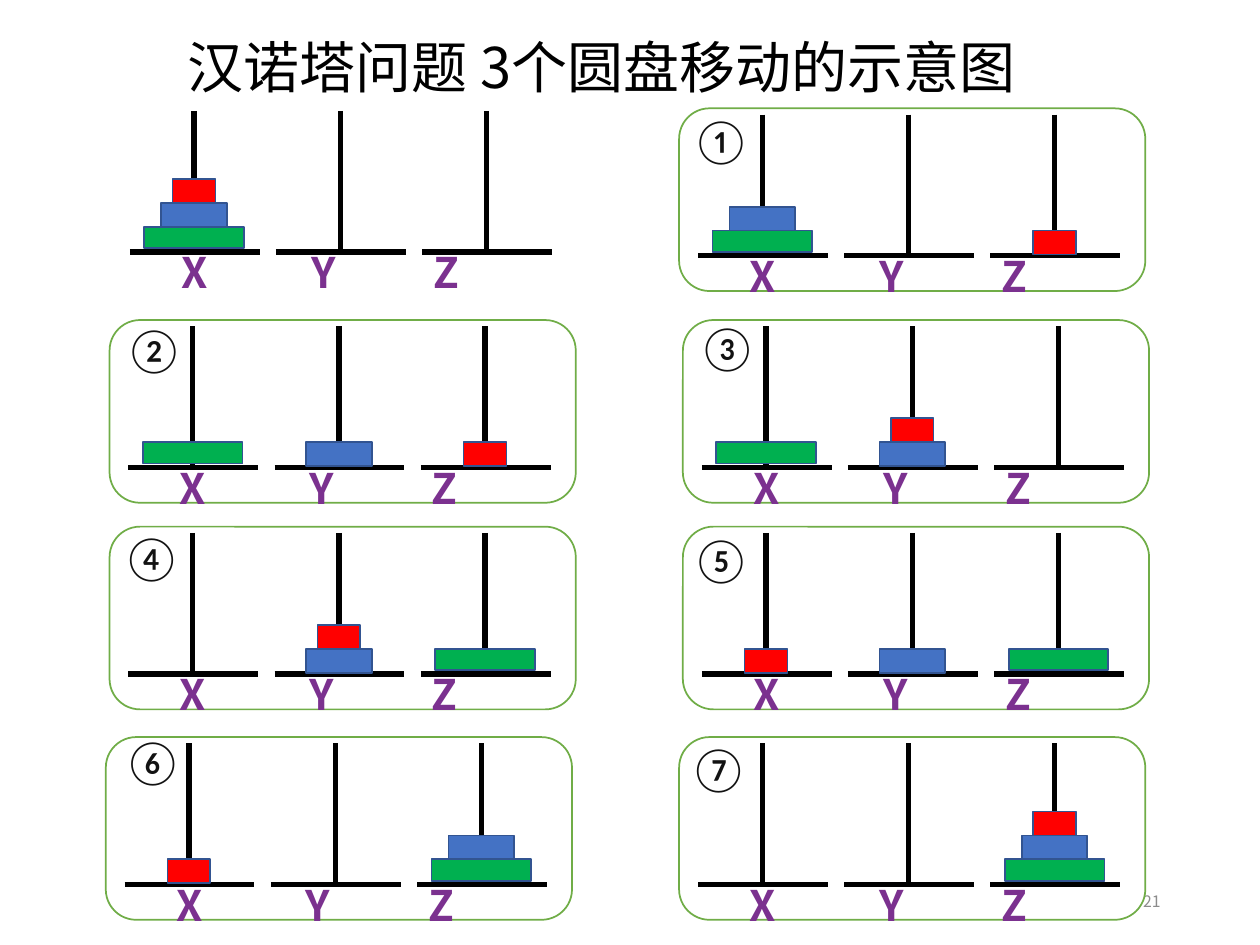
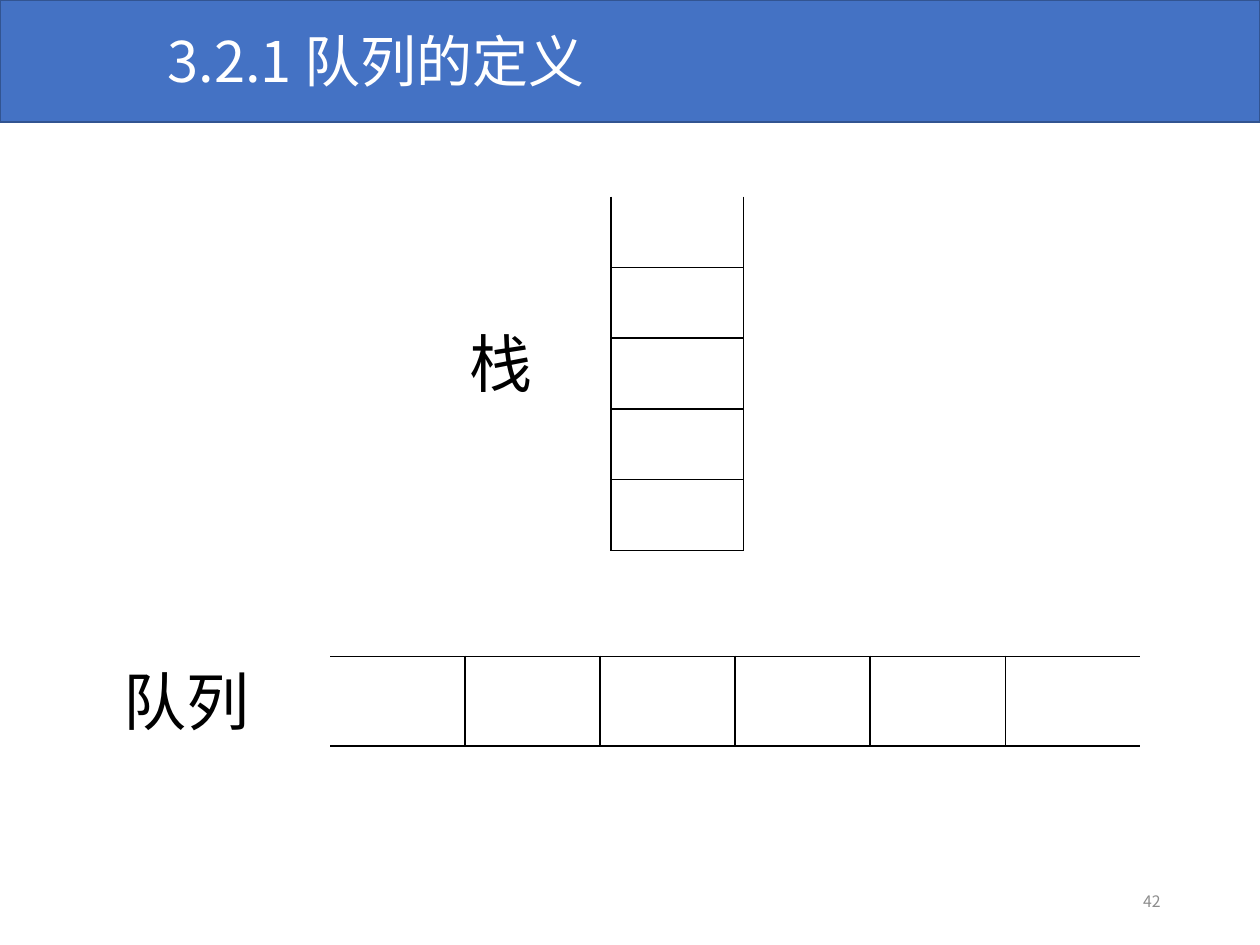
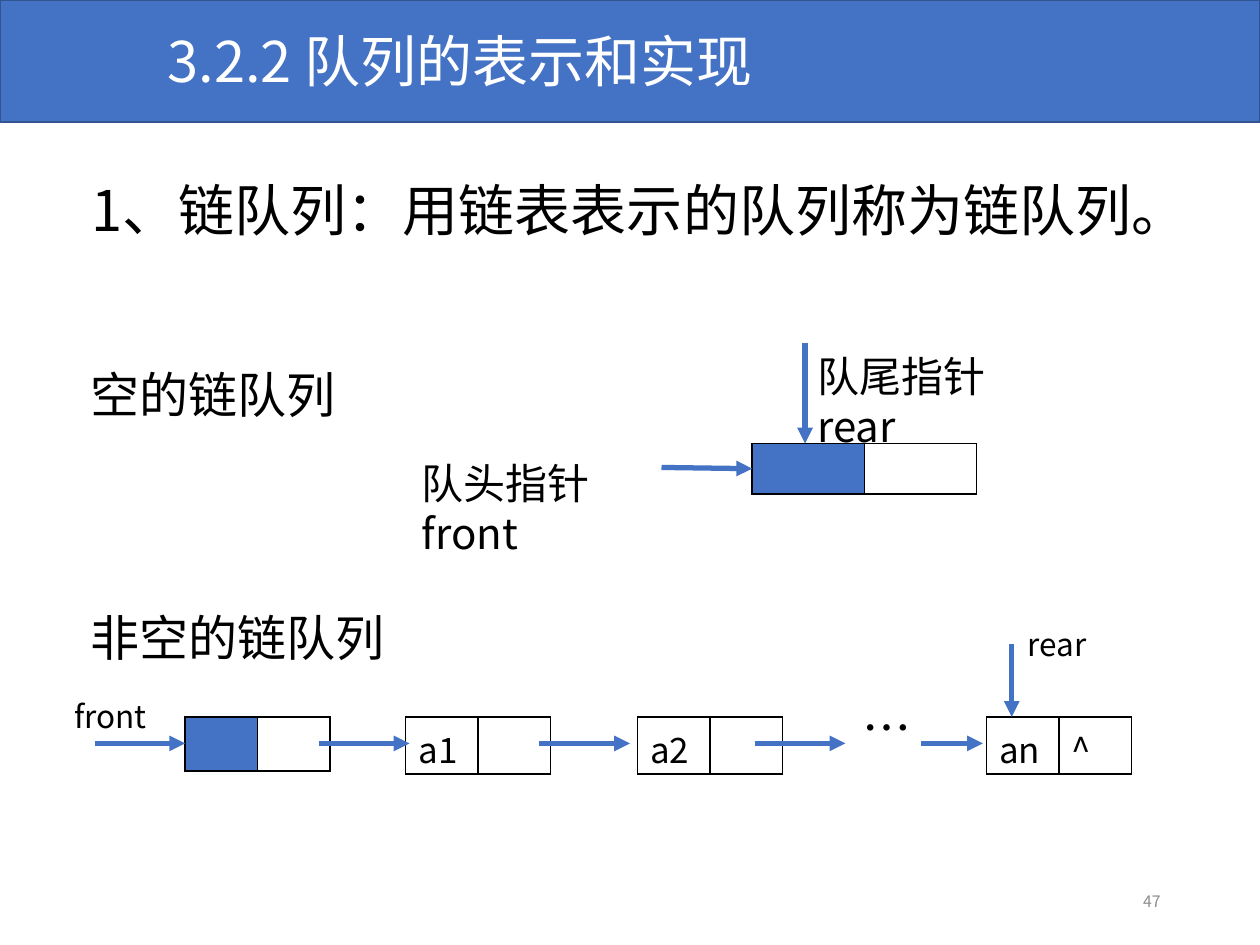
from lxml import etree
from pptx import Presentation
from pptx import util as u
from pptx.dml.color import RGBColor
from pptx.enum import shapes, text
from pptx.oxml import ns

FONT = "Noto Sans CJK SC"
BLACK, WHITE, BLUE, NAVY = "000000", "FFFFFF", "4472C4", "325491"
GREEN, PURPLE, GREY, INK = "70AD47", "7B318F", "8C8C8C", "121212"


def rgb(hex_code):
    return RGBColor.from_string(hex_code)


def inches(*values):
    return [u.Inches(value) for value in values]


def sub(parent, tag, **attributes):
    return etree.SubElement(parent, ns.qn(tag), **attributes)


def write(frame, words, size=18, color=BLACK, font=FONT, bold=False, align="LEFT",
          anchor="TOP", wrap=True, spacing=None, tabs=()):
    """Put one formatted paragraph into a text frame."""
    frame.word_wrap = wrap
    frame.auto_size = text.MSO_AUTO_SIZE.NONE
    frame.vertical_anchor = text.MSO_ANCHOR[anchor]
    write_line(frame.paragraphs[0], words, size, color, font, bold, align, spacing, tabs)


def write_line(line, words, size, color=BLACK, font=FONT, bold=False, align="LEFT",
               spacing=None, tabs=()):
    if tabs:
        stops = sub(line._p.get_or_add_pPr(), "a:tabLst")
        for stop in tabs:
            sub(stops, "a:tab", pos=str(u.Inches(stop)), algn="l")
    line.alignment = text.PP_ALIGN[align]
    if spacing:
        line.line_spacing = spacing
    run = line.add_run()
    run.text = words
    run.font.size, run.font.bold, run.font.name = u.Pt(size), bold, font
    run.font.color.rgb = rgb(color)
    sub(run.font._element, "a:ea", typeface=font)


class Deck:
    def __init__(self):
        self.prs = Presentation()
        self.prs.slide_width, self.prs.slide_height = inches(10, 7.5)
        self.slide = None

    def new_slide(self, title, number, at=(1.23, 0.16, 6.8, 0.64), banded=True, **style):
        self.slide = self.prs.slides.add_slide(self.prs.slide_layouts[5])
        heading = self.slide.shapes.title
        if banded:
            self.box((0, 0, 10, 0.97), BLUE, NAVY)
            self.slide.shapes._spTree.append(heading.element)
        heading.left, heading.top, heading.width, heading.height = inches(*at)
        write(heading.text_frame, title, size=32,
              color=WHITE if banded else BLACK, **style)
        self.label(number, (7.06, 6.95, 2.25, 0.4), size=9, color=GREY,
                   align="RIGHT", anchor="MIDDLE")

    def label(self, words, at, **style):
        write(self.slide.shapes.add_textbox(*inches(*at)).text_frame, words, **style)

    def box(self, at, fill, line, kind="RECTANGLE"):
        shape = self.slide.shapes.add_shape(shapes.MSO_SHAPE[kind], *inches(*at))
        shape.shadow.inherit = False
        shape.fill.solid()
        shape.fill.fore_color.rgb = rgb(fill)
        shape.line.color.rgb = rgb(line)
        shape.line.width = u.Pt(1)

    def line(self, x1, y1, x2, y2, color=BLACK, arrow=False):
        line = self.slide.shapes.add_connector(
            shapes.MSO_CONNECTOR.STRAIGHT, *inches(x1, y1, x2, y2))
        line.line.color.rgb = rgb(color)
        line.line.width = u.Pt(3)
        if arrow:
            sub(line.line._get_or_add_ln(), "a:tailEnd", type="triangle")
        sub(line.element.spPr, "a:effectLst")

    def arrow(self, *ends):
        self.line(*ends, color=BLUE, arrow=True)

    def cells(self, at, rows=1, cols=1, words=(), fills=(), open_sides=()):
        """Draw a ruled table; open_sides lists (row, column, side) without a rule."""
        table = self.slide.shapes.add_table(rows, cols, *inches(*at)).table
        table.first_row = table.horz_banding = False
        for r in range(rows):
            for c in range(cols):
                cell = table.cell(r, c)
                cell.margin_bottom = 0
                for side in "LRTB":
                    self.border(cell, side, (r, c, side) not in open_sides)
                if c < len(fills) and fills[c]:
                    cell.fill.solid()
                    cell.fill.fore_color.rgb = rgb(fills[c])
                else:
                    cell.fill.background()
                if c < len(words):
                    write_line(cell.text_frame.paragraphs[0], words[c], size=20)

    def border(self, cell, side, ruled):
        rule = sub(cell._tc.get_or_add_tcPr(), f"a:ln{side}", w=str(u.Pt(1)))
        if ruled:
            sub(sub(rule, "a:solidFill"), "a:srgbClr", val=BLACK)
        else:
            sub(rule, "a:noFill")


# Disc: width, height, colour
DISCS = {"small": (0.34, 0.19, "FF0000"),
         "middle": (0.52, 0.19, BLUE),
         "large": (0.79, 0.17, "00B050")}
S, M, L = DISCS

# State: panel corner, step mark and its corner, discs on X, Y, Z from the bottom up
STATES = [
    ((0.88, 0.83), None, None, ([L, M, S], [], [])),
    ((5.39, 0.86), "①", (5.44, 0.87), ([L, M], [], [S])),
    ((0.87, 2.54), "②", (0.94, 2.53), ([L], [M], [S])),
    ((5.42, 2.54), "③", (5.49, 2.51), ([L], [M, S], [])),
    ((0.87, 4.18), "④", (0.92, 4.18), ([], [M, S], [L])),
    ((5.42, 4.18), "⑤", (5.44, 4.19), ([S], [M], [L])),
    ((0.84, 5.85), "⑥", (0.93, 5.8), ([S], [], [L, M])),
    ((5.39, 5.85), "⑦", (5.42, 5.85), ([], [], [L, M, S])),
]


def draw_state(deck, corner, mark, mark_corner, pegs):
    x, y = corner
    base = y + 1.17
    if mark:
        deck.box((x, y, 3.7, 1.45), WHITE, GREEN, "ROUNDED_RECTANGLE")
    deck.label("X\tY\tZ", (x + 0.46, y + 1.08, 2.88, 0.5), size=24, color=PURPLE,
               bold=True, tabs=(1.03, 2.0))
    for peg, discs in enumerate(pegs):
        center = x + 0.66 + 1.16 * peg
        deck.line(center, y + 0.05, center, base)
        deck.line(center - 0.51, base, center + 0.52, base)
        for level, disc in enumerate(discs):
            width, height, color = DISCS[disc]
            top = base - 0.2 - 0.19 * level
            deck.box((center - width / 2, top, width, height), color, NAVY)
    if mark:
        deck.label(mark, (*mark_corner, 0.61, 0.5), size=24, color=INK, font="Lato")


def hanoi_slide(deck):
    deck.new_slide("汉诺塔问题 3个圆盘移动的示意图", "21", at=(1.39, -0.06, 7.26, 0.81),
                   banded=False, spacing=1.5)
    for state in STATES:
        draw_state(deck, *state)


def queue_definition_slide(deck):
    deck.new_slide("3.2.1 队列的定义", "42")
    # Queue is open at both ends, stack only at the top
    deck.cells((2.62, 5.21, 6.43, 0.71), cols=6, open_sides=[(0, 0, "L"), (0, 5, "R")])
    deck.label("队列", (0.88, 5.21, 1.21, 0.71), size=36, wrap=False)
    deck.cells((4.85, 1.56, 1.05, 2.81), rows=5, open_sides=[(0, 0, "T")])
    deck.label("栈", (3.63, 2.53, 0.71, 0.71), size=36, wrap=False)


def linked_queue_slide(deck):
    deck.new_slide("3.2.2 队列的表示和实现", "47")
    deck.label("1、链队列：用链表表示的队列称为链队列。", (0.63, 1.08, 9.24, 0.81),
               size=32, spacing=1.5)
    for caption, top in (("空的链队列", 2.61), ("非空的链队列", 4.54)):
        deck.label(caption, (0.62, top, 3.03, 0.72), size=28, spacing=1.5)

    # Empty queue
    deck.cells((5.97, 3.52, 1.78, 0.4), cols=2, fills=[BLUE])
    deck.arrow(5.25, 3.71, 5.97, 3.72)
    deck.arrow(6.39, 2.72, 6.39, 3.52)
    deck.label("队头指针front", (3.25, 3.58, 2.25, 0.5), size=24)
    deck.label("队尾指针rear", (6.39, 2.73, 2.12, 0.5), size=24)

    # Queue with elements
    for left, words, fill in ((1.47, [], BLUE), (3.22, ["a1"], WHITE),
                              (5.06, ["a2"], WHITE), (7.83, ["an", "^"], WHITE)):
        deck.cells((left, 5.69, 1.15, 0.43), cols=2, words=words, fills=[fill])
    for start, end in ((0.75, 1.47), (2.53, 3.25), (4.28, 5), (5.99, 6.71), (7.31, 7.8)):
        deck.arrow(start, 5.9, end, 5.9)
    deck.arrow(8.03, 5.11, 8.03, 5.69)
    deck.label("front", (0.49, 5.48, 0.82, 0.4))
    deck.label("rear", (8.06, 4.91, 0.82, 0.4))
    deck.label("…", (6.75, 5.49, 0.51, 0.57), size=28)


def main():
    deck = Deck()
    hanoi_slide(deck)
    queue_definition_slide(deck)
    linked_queue_slide(deck)
    deck.prs.save("out.pptx")


if __name__ == "__main__":
    main()
